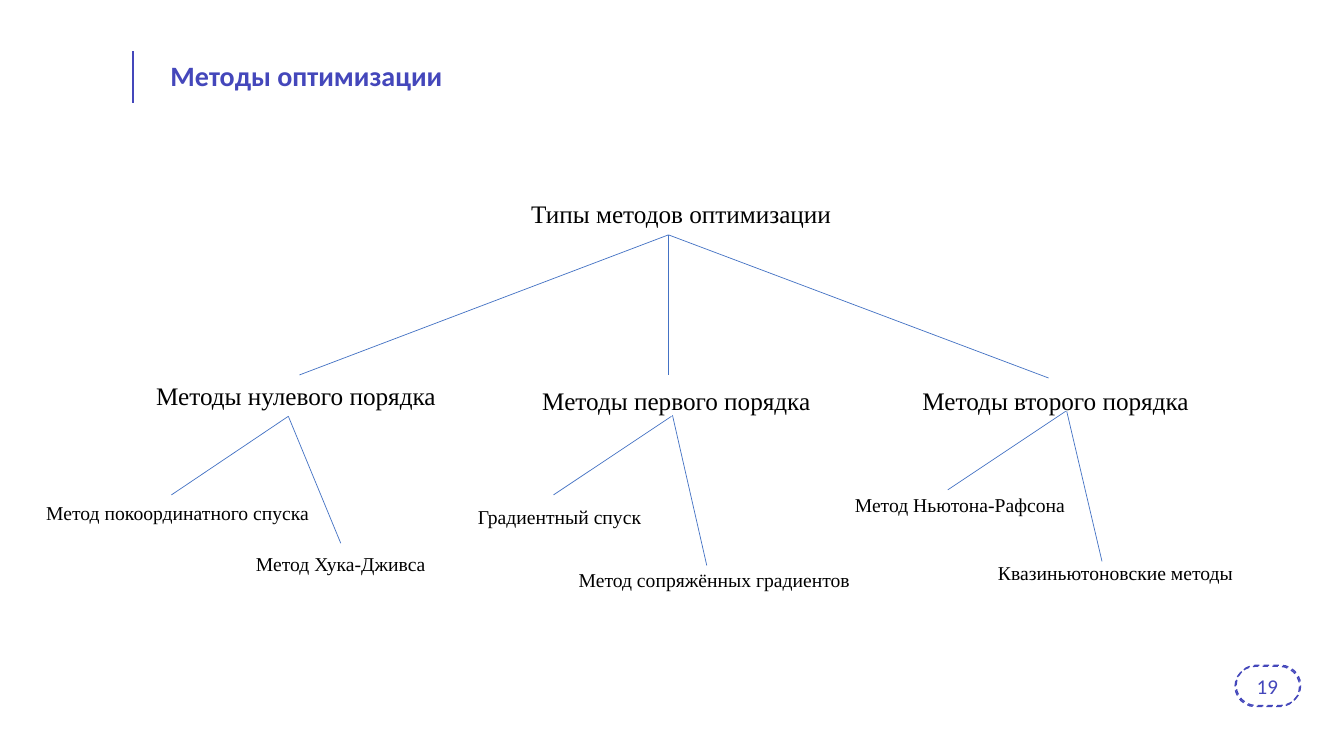
from dataclasses import dataclass

from pptx import Presentation
from pptx import util as u
from pptx.dml.color import RGBColor
from pptx.enum import dml, shapes, text
from pptx.oxml.ns import qn
from lxml import etree

INDIGO = RGBColor(0x44, 0x47, 0xBB)
BLUE = RGBColor(0x44, 0x72, 0xC4)
BLACK = RGBColor(0, 0, 0)
SERIF = "Times New Roman"
SANS = "Calibri"
WIDE, HIGH = 13.33, 7.5


@dataclass
class Label:
    words: str
    left: float
    top: float
    width: float
    height: float
    size: int = 14
    loose: bool = False  # justified, 1.5 line spacing
    level: int = 0


@dataclass
class Branch:
    x1: float
    y1: float
    x2: float
    y2: float


LABELS = [
    # Root
    Label("Типы методов оптимизации", 5.17, 1.92, 4.88, 0.4, 18),
    # Orders
    Label("Методы нулевого порядка", 1.45, 3.72, 6.67, 0.4, 18),
    Label("Методы первого порядка", 4.78, 3.62, 6.67, 0.51, 18, True, 1),
    Label("Методы второго порядка", 8.55, 3.62, 6.67, 0.51, 18, True, 1),
    # Methods
    Label("Метод покоординатного спуска", 0.36, 4.8, 7.61, 0.41, loose=True),
    Label("Метод Хука-Дживса", 2.44, 5.31, 7.61, 0.41, loose=True),
    Label("Градиентный спуск", 4.64, 4.84, 7.61, 0.41, loose=True),
    Label("Метод сопряжённых градиентов", 5.64, 5.47, 7.61, 0.41, loose=True),
    Label("Метод Ньютона-Рафсона", 8.38, 4.84, 7.61, 0.34),
    Label("Квазиньютоновские методы", 9.8, 5.52, 7.99, 0.34),
]

BRANCHES = [
    # Root to orders
    Branch(6.63, 2.33, 2.97, 3.72),
    Branch(6.63, 2.33, 6.63, 3.72),
    Branch(6.63, 2.33, 10.4, 3.75),
    # Orders to methods
    Branch(2.86, 4.13, 1.7, 4.91),
    Branch(2.86, 4.13, 3.38, 5.39),
    Branch(6.66, 4.13, 5.49, 4.91),
    Branch(6.67, 4.12, 7.01, 5.61),
    Branch(10.57, 4.08, 9.4, 4.86),
    Branch(10.58, 4.08, 10.93, 5.57),
]


def style(par, font: str, size: int, color: RGBColor, bold: bool = False) -> None:
    for run in par.runs:
        run.font.name = font
        run.font.size = u.Pt(size)
        run.font.color.rgb = color
        run.font.bold = bold


def draw_line(slide, line: Branch, color: RGBColor, weight: float) -> None:
    ends = [u.Inches(n) for n in (line.x1, line.y1, line.x2, line.y2)]
    link = slide.shapes.add_connector(shapes.MSO_CONNECTOR.STRAIGHT, *ends)
    link.line.color.rgb = color
    link.line.width = u.Pt(weight)
    etree.SubElement(link._element.spPr, qn("a:effectLst"))


def draw_label(slide, label: Label) -> None:
    width = min(label.width, WIDE - label.left)
    box = slide.shapes.add_textbox(u.Inches(label.left), u.Inches(label.top),
                                   u.Inches(width), u.Inches(label.height))
    frame = box.text_frame
    frame.word_wrap = True
    frame.auto_size = text.MSO_AUTO_SIZE.SHAPE_TO_FIT_TEXT
    frame.text = label.words
    par = frame.paragraphs[0]
    par.level = label.level
    if label.loose:
        par.alignment = text.PP_ALIGN.JUSTIFY
        par.line_spacing = 1.5
    style(par, SERIF, label.size, BLACK)


def draw_badge(slide, left: float, top: float, words: str = "") -> None:
    badge = slide.shapes.add_shape(
        shapes.MSO_SHAPE.ROUNDED_RECTANGLE, u.Inches(left), u.Inches(top),
        u.Inches(0.64), u.Inches(0.4))
    badge.adjustments[0] = 0.5
    badge.shadow.inherit = False
    badge.fill.background()
    badge.line.color.rgb = INDIGO
    badge.line.width = u.Pt(1)
    badge.line.dash_style = dml.MSO_LINE.DASH
    if words:
        frame = badge.text_frame
        frame.text = words
        frame.vertical_anchor = text.MSO_ANCHOR.MIDDLE
        frame.paragraphs[0].alignment = text.PP_ALIGN.CENTER
        style(frame.paragraphs[0], SANS, 15, INDIGO)


def draw_title(slide, words: str) -> None:
    title = slide.shapes.title
    title.left, title.top = u.Inches(1.59), u.Inches(0.39)
    title.width, title.height = u.Inches(11.31), u.Inches(0.75)
    frame = title.text_frame
    frame.text = words
    frame.word_wrap = True
    frame.auto_size = text.MSO_AUTO_SIZE.NONE
    frame.vertical_anchor = text.MSO_ANCHOR.MIDDLE
    par = frame.paragraphs[0]
    par.alignment = text.PP_ALIGN.LEFT
    par.line_spacing = 0.9
    style(par, SANS, 20, INDIGO, True)


def main() -> None:
    deck = Presentation()
    deck.slide_width, deck.slide_height = u.Inches(WIDE), u.Inches(HIGH)
    slide = deck.slides.add_slide(deck.slide_layouts.get_by_name("Title Only"))

    # Header and page number
    draw_line(slide, Branch(1.32, 0.51, 1.32, 1.02), INDIGO, 1.5)
    draw_title(slide, "Методы оптимизации")
    draw_badge(slide, 12.26, 6.6)
    draw_badge(slide, 12.25, 6.61, "19")

    # Tree of methods
    for label in LABELS:
        draw_label(slide, label)
    for branch in BRANCHES:
        draw_line(slide, branch, BLUE, 0.5)

    deck.save("out.pptx")


if __name__ == "__main__":
    main()
